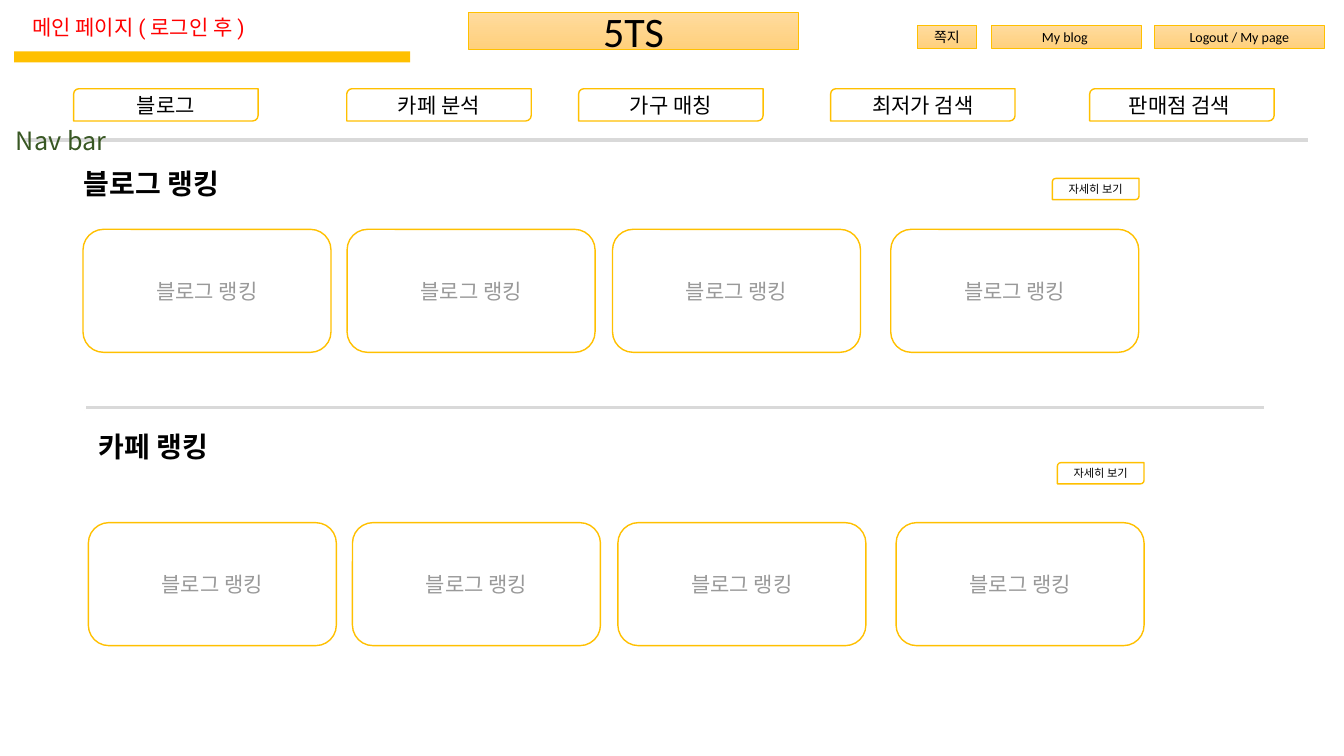
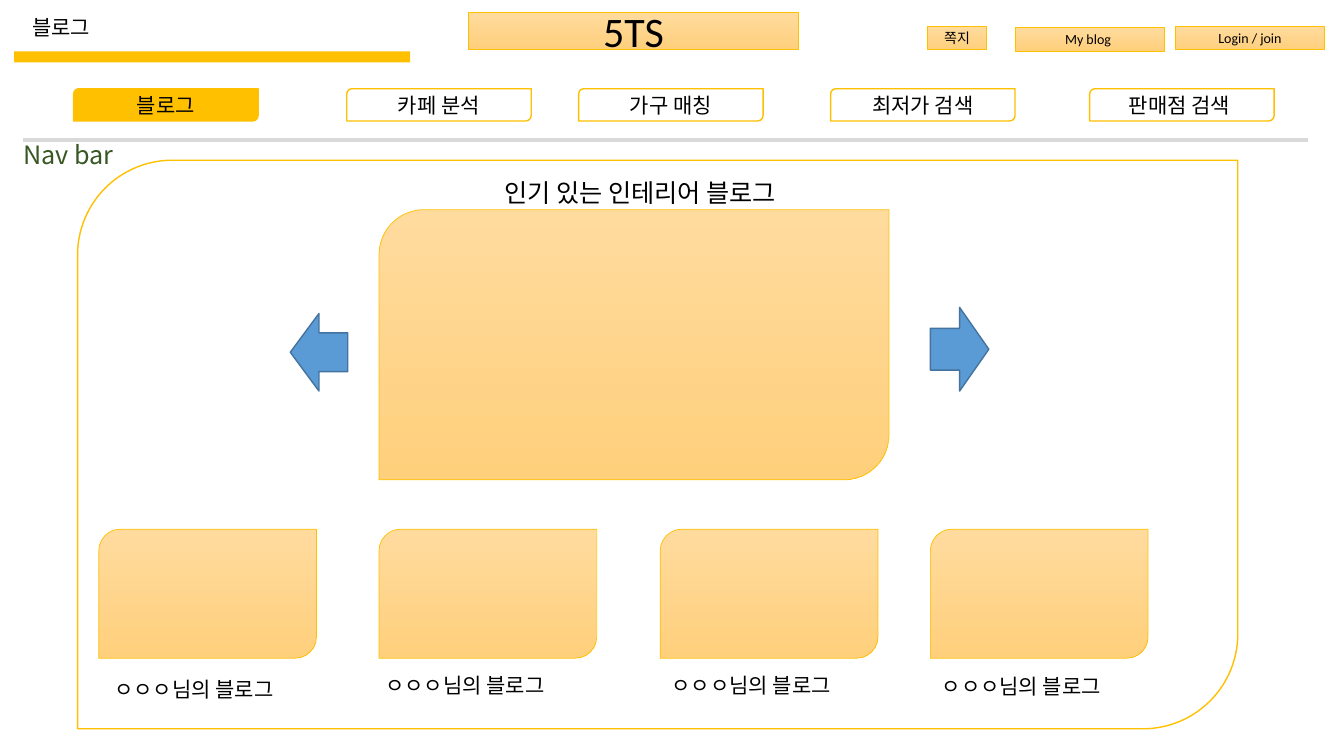
from lxml.etree import SubElement
from pptx import Presentation
from pptx.dml.color import RGBColor
from pptx.enum.shapes import MSO_SHAPE as SHAPE
from pptx.enum.text import MSO_ANCHOR as ANCHOR, MSO_AUTO_SIZE as AUTO, PP_ALIGN as ALIGN
from pptx.oxml.ns import qn
from pptx.util import Inches, Pt

WIDTH, HEIGHT = Inches(13.33), Inches(7.5)
COLS, ROWS = 40, 30

COLORS = {
    "white": "FFFFFF", "black": "000000", "red": "FF0000", "green": "385723",
    "amber": "FFC000", "rule": "D9D9D9", "muted": "999999",
    "light": "FFDB9E", "deep": "FFD07C", "blue": "5B9BD5", "navy": "43739E",
}
KOREAN, LATIN, TITLE = "Noto Sans CJK KR", "Calibri", "Roboto"

TABS = [("블로그", 2.19), ("카페 분석", 10.32), ("가구 매칭", 17.22),
        ("최저가 검색", 24.72), ("판매점 검색 ", 32.43)]
CARD_COLS = [2.47, 10.33, 18.23, 26.51]
THUMB_COLS = [2.94, 11.28, 19.65, 27.69]
CAPTIONS = [(3.06, 26.76), (11.13, 26.6), (19.65, 26.6), (27.69, 26.64)]


def rgb(name):
    return RGBColor.from_string(COLORS[name])


def grid(x, y, w, h):
    return [int(v) for v in (x * WIDTH / COLS, y * HEIGHT / ROWS,
                             w * WIDTH / COLS, h * HEIGHT / ROWS)]


def write(tf, text, size, color="black", font=KOREAN, bold=False,
          align=ALIGN.LEFT, anchor=ANCHOR.MIDDLE, wrap=True, spacing=1.0):
    formats = {"auto_size": AUTO.NONE, "vertical_anchor": anchor, "word_wrap": wrap}
    for key, value in formats.items():
        setattr(tf, key, value)
    p = tf.paragraphs[0]
    p.alignment, p.line_spacing = align, spacing
    r = p.add_run()
    r.text = text
    for key, value in {"size": Pt(size), "name": font, "bold": bold}.items():
        setattr(r.font, key, value)
    r.font.color.rgb = rgb(color)
    SubElement(r.font._element, qn("a:ea")).set("typeface", KOREAN)


def add_label(s, box, text, size, **formats):
    sp = s.shapes.add_textbox(*grid(*box))
    write(sp.text_frame, text, size, anchor=ANCHOR.TOP, **formats)


def add_box(s, kind, box, fill="white", line="amber", weight=1):
    sp = s.shapes.add_shape(kind, *grid(*box))
    sp.shadow.inherit = False
    if fill == "gradient":
        sp.fill.gradient()
        sp.fill.gradient_angle = 270
        for stop, name in zip(sp.fill.gradient_stops, ("light", "deep")):
            stop.color.rgb = rgb(name)
    else:
        sp.fill.solid()
        sp.fill.fore_color.rgb = rgb(fill)
    if line:
        sp.line.color.rgb = rgb(line)
        sp.line.width = Pt(weight)
    else:
        sp.line.fill.background()
    return sp


def add_rule(s, box):
    add_box(s, SHAPE.RECTANGLE, box, "rule", "white", 1.5)


def add_button(s, box, text, size=10):
    sp = add_box(s, SHAPE.RECTANGLE, box, "gradient", weight=0.5)
    write(sp.text_frame, text, size, font=LATIN, align=ALIGN.CENTER)


def add_tab(s, box, text, size=15, fill="white"):
    sp = add_box(s, SHAPE.ROUND_2_DIAG_RECTANGLE, box, fill)
    write(sp.text_frame, text, size, align=ALIGN.CENTER)


def add_thumb(s, box):
    add_box(s, SHAPE.ROUND_2_DIAG_RECTANGLE, box, "gradient", weight=0.5)


def add_caption(s, box, text, size, align=ALIGN.LEFT):
    sp = add_box(s, SHAPE.ROUNDED_RECTANGLE, box, line="white")
    write(sp.text_frame, text, size, align=align)


def add_page(prs, title, title_color, buttons, nav_at, active=None):
    s = prs.slides.add_slide(prs.slide_layouts[5])
    sp = s.shapes.title
    sp.left, sp.top, sp.width, sp.height = grid(0.66, 0.32, 8.85, 1.64)
    write(sp.text_frame, title, 15, title_color, TITLE, spacing=0.9)
    add_box(s, SHAPE.RECTANGLE, (0.42, 2.04, 11.79, 0.44), "amber", None)
    add_button(s, (13.95, 0.48, 9.81, 1.48), "5TS", 30)
    for text, x, y, w in buttons:
        add_button(s, (x, y, w, 0.94), text)
    for text, x in TABS:
        add_tab(s, (x, 3.52, 5.49, 1.28), text,
                fill="amber" if text == active else "white")
    add_rule(s, (0.66, 5.44, 38.31, 0.24))
    add_label(s, (*nav_at, 3.33, 1.6), "Nav bar", 18, color="green", wrap=False)
    return s


def add_ranking(s, heading, heading_at, more_at, shift, top):
    add_label(s, (*heading_at, 5.19, 1.76), heading, 20, bold=True)
    add_tab(s, (*more_at, 2.58, 0.84), "자세히 보기", 8)
    for x in CARD_COLS:
        sp = add_box(s, SHAPE.ROUNDED_RECTANGLE, (x + shift, top, 7.38, 4.88))
        write(sp.text_frame, "블로그 랭킹", 15, "muted", align=ALIGN.CENTER)


def add_main_page(prs):
    buttons = [("쪽지", 27.3, 1, 1.77), ("My blog ", 29.52, 1, 4.44),
               ("Logout / My page", 34.35, 1, 5.07)]
    s = add_page(prs, "메인 페이지 ( 로그인 후 )", "red", buttons, (0.18, 4.76))
    add_ranking(s, "블로그 랭킹", (2.19, 6.4), (31.32, 7.08), 0, 9.1)
    add_rule(s, (2.52, 16.08, 35.13, 0.2))
    add_ranking(s, "카페 랭킹", (2.64, 16.84), (31.47, 18.36), 0.16, 20.74)


def add_blog_page(prs):
    buttons = [("쪽지", 27.6, 1.04, 1.77), ("My blog ", 30.21, 1.08, 4.44),
               ("Login / join", 34.98, 1.04, 4.44)]
    s = add_page(prs, "블로그", "black", buttons, (0.39, 5.32), "블로그")
    add_box(s, SHAPE.ROUND_2_DIAG_RECTANGLE, (2.31, 6.36, 34.53, 22.56))
    add_caption(s, (11.28, 6.92, 15.54, 1.4), "인기 있는 인테리어 블로그", 18, ALIGN.CENTER)
    add_thumb(s, (11.28, 8.32, 15.18, 10.72))
    add_box(s, SHAPE.LEFT_ARROW, (8.64, 12.44, 1.71, 3.08), "blue", "navy")
    add_box(s, SHAPE.RIGHT_ARROW, (27.69, 12.2, 1.74, 3.32), "blue", "navy")
    for x in THUMB_COLS:
        add_thumb(s, (x, 21, 6.48, 5.12))
    for x, y in CAPTIONS:
        add_caption(s, (x, y, 5.82, 1.2), "ㅇㅇㅇ님의 블로그", 15)


def main():
    prs = Presentation()
    prs.slide_width, prs.slide_height = WIDTH, HEIGHT
    add_main_page(prs)
    add_blog_page(prs)
    prs.save("out.pptx")


if __name__ == "__main__":
    main()
